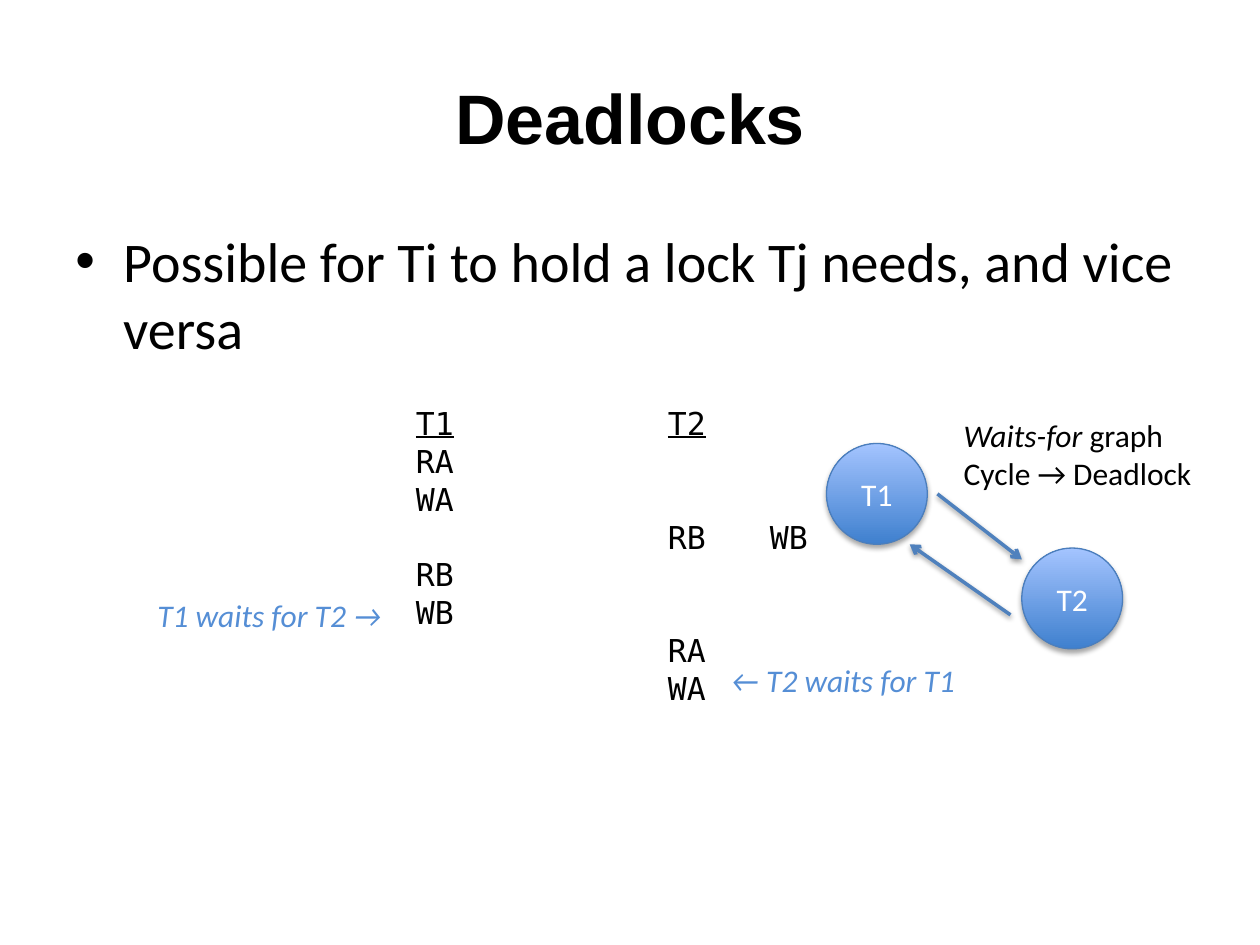
from lxml.etree import SubElement
from pptx import Presentation
from pptx.dml.color import RGBColor
from pptx.enum.shapes import MSO_CONNECTOR as CONNECTOR, MSO_SHAPE as SHAPE
from pptx.enum.text import MSO_ANCHOR as ANCHOR, PP_ALIGN as ALIGN
from pptx.oxml.ns import qn
from pptx.util import Emu, Inches, Pt

COLORS = {
    "text": "000000",
    "background": "FFFFFF",
    "note": "558ED5",
    "node_bottom": "3F80CE",
    "node_top": "A4C4FF",
    "node_line": "4B7EBC",
    "arrow": "4F81BD",
}
BODY_FONT = "Calibri"
CODE_FONT = "DejaVu Sans Mono"


def rgb(name):
    return RGBColor.from_string(COLORS[name])


def write(shape, lines, size=18, font=BODY_FONT, color="text", align=ALIGN.LEFT,
          anchor=ANCHOR.TOP, wrap=True, spacing=None, **style):
    """Write lines; each is a string or a list of (text, style) runs."""
    frame = shape.text_frame
    frame.word_wrap = wrap
    frame.vertical_anchor = anchor
    for index, line in enumerate(lines):
        paragraph = frame.paragraphs[0] if index == 0 else frame.add_paragraph()
        paragraph.alignment = align
        if spacing:
            paragraph.line_spacing = Pt(spacing)
        for text, run_style in [(line, {})] if isinstance(line, str) else line:
            run = paragraph.add_run()
            run.text = text
            run.font.size = Pt(size)
            run.font.name = font
            run.font.color.rgb = rgb(color)
            for name, value in {**style, **run_style}.items():
                setattr(run.font, name, value)
    return frame


def add_text(slide, box, lines, **style):
    shape = slide.shapes.add_textbox(*map(Inches, box))
    return write(shape, lines, **style)


def add_shadow(shape, alpha, blur, distance):
    """Add a shadow that falls straight down; call after the line is set."""
    effects = SubElement(shape._element.spPr, qn("a:effectLst"))
    shadow = SubElement(effects, qn("a:outerShdw"), blurRad=str(Pt(blur)),
                        dist=str(Pt(distance)), dir="5400000", rotWithShape="0")
    color = SubElement(shadow, qn("a:srgbClr"), val="000000")
    SubElement(color, qn("a:alpha"), val=str(alpha * 1000))


def add_title(slide, box):
    add_text(slide, box, ["Deadlocks"], size=40, font="Arial", bold=True,
             align=ALIGN.CENTER, anchor=ANCHOR.MIDDLE)


def add_body(slide, box):
    frame = add_text(
        slide, box, ["Possible for Ti to hold a lock Tj needs, and vice versa"], size=32)
    properties = frame.paragraphs[0]._p.get_or_add_pPr()
    properties.set("marL", str(Inches(0.38)))
    properties.set("indent", str(-Inches(0.38)))
    SubElement(properties, qn("a:buFont"), typeface="Arial")
    SubElement(properties, qn("a:buChar"), char="•")


def add_schedule(slide, box):
    """Place the two transactions in columns set by tab stops."""
    left, top, width, height = box
    panel = slide.shapes.add_shape(SHAPE.RECTANGLE, *map(Inches, box))
    panel.shadow.inherit = False
    panel.fill.solid()
    panel.fill.fore_color.rgb = rgb("background")
    panel.line.fill.background()
    header = [("T1", {"underline": True}), ("\t", {}), ("T2", {"underline": True})]
    rows = [header, "RA", "WA", "\tRB\tWB", "RB", "WB", "\tRA", "\tWA"]
    frame = write(panel, rows, font=CODE_FONT, spacing=21.6)
    frame.margin_left = Inches(0.6)
    for paragraph in frame.paragraphs:
        stops = SubElement(paragraph._p.get_or_add_pPr(), qn("a:tabLst"))
        for position in (2, 2.81):
            SubElement(stops, qn("a:tab"), pos=str(Inches(position)), algn="l")

    # Notes beside the rows that block
    for text, x, y in (("T1 waits for T2 →", -1.55, 1.52),
                       ("← T2 waits for T1", 3, 2.04)):
        add_text(slide, (left + x, top + y, 2.02, 0.4), [text],
                 color="note", italic=True, wrap=False)


def add_node(slide, box, label):
    node = slide.shapes.add_shape(SHAPE.OVAL, *map(Inches, box))
    node.fill.gradient()
    node.fill.gradient_angle = 90
    for stop, name in zip(node.fill.gradient_stops, ("node_bottom", "node_top")):
        stop.color.rgb = rgb(name)
    node.line.color.rgb = rgb("node_line")
    node.line.width = Pt(0.75)
    add_shadow(node, alpha=35, blur=3.1, distance=1.8)
    write(node, [label], color="background", align=ALIGN.CENTER, anchor=ANCHOR.MIDDLE)


def add_arrow(slide, start, end):
    arrow = slide.shapes.add_connector(
        CONNECTOR.STRAIGHT, *map(Inches, (*start, *end)))
    arrow.line.color.rgb = rgb("arrow")
    arrow.line.width = Pt(2)
    SubElement(arrow.line._get_or_add_ln(), qn("a:tailEnd"), type="arrow")
    add_shadow(arrow, alpha=38, blur=3.1, distance=1.6)


def add_waits_for_graph(slide, box):
    left, top, width, height = box
    size = 0.8
    # The nodes sit at the left edge and the bottom of the box
    add_node(slide, (left, top + 0.27, size, size), "T1")
    add_node(slide, (left + 1.55, top + height - size, size, size), "T2")
    for start, end in (((0.88, 0.67), (1.55, 1.19)), ((1.46, 1.63), (0.66, 1.07))):
        add_arrow(slide, (left + start[0], top + start[1]),
                  (left + end[0], top + end[1]))
    add_text(slide, (left + 0.99, top, width - 0.99, 0.71),
             [[("Waits-for ", {"italic": True}), ("graph", {})], "Cycle → Deadlock"])


def main():
    presentation = Presentation()
    presentation.slide_width = Inches(10)
    presentation.slide_height = Inches(7.5)
    slide = presentation.slides.add_slide(presentation.slide_layouts[6])
    add_title(slide, (0.5, 0.3, 9, 1.25))
    add_body(slide, (0.5, 1.75, 9, 4.95))
    add_schedule(slide, (2.7, 3.16, 4.01, 3.43))
    add_waits_for_graph(slide, (6.56, 3.25, 3.4, 1.9))
    presentation.save("out.pptx")


if __name__ == "__main__":
    main()
